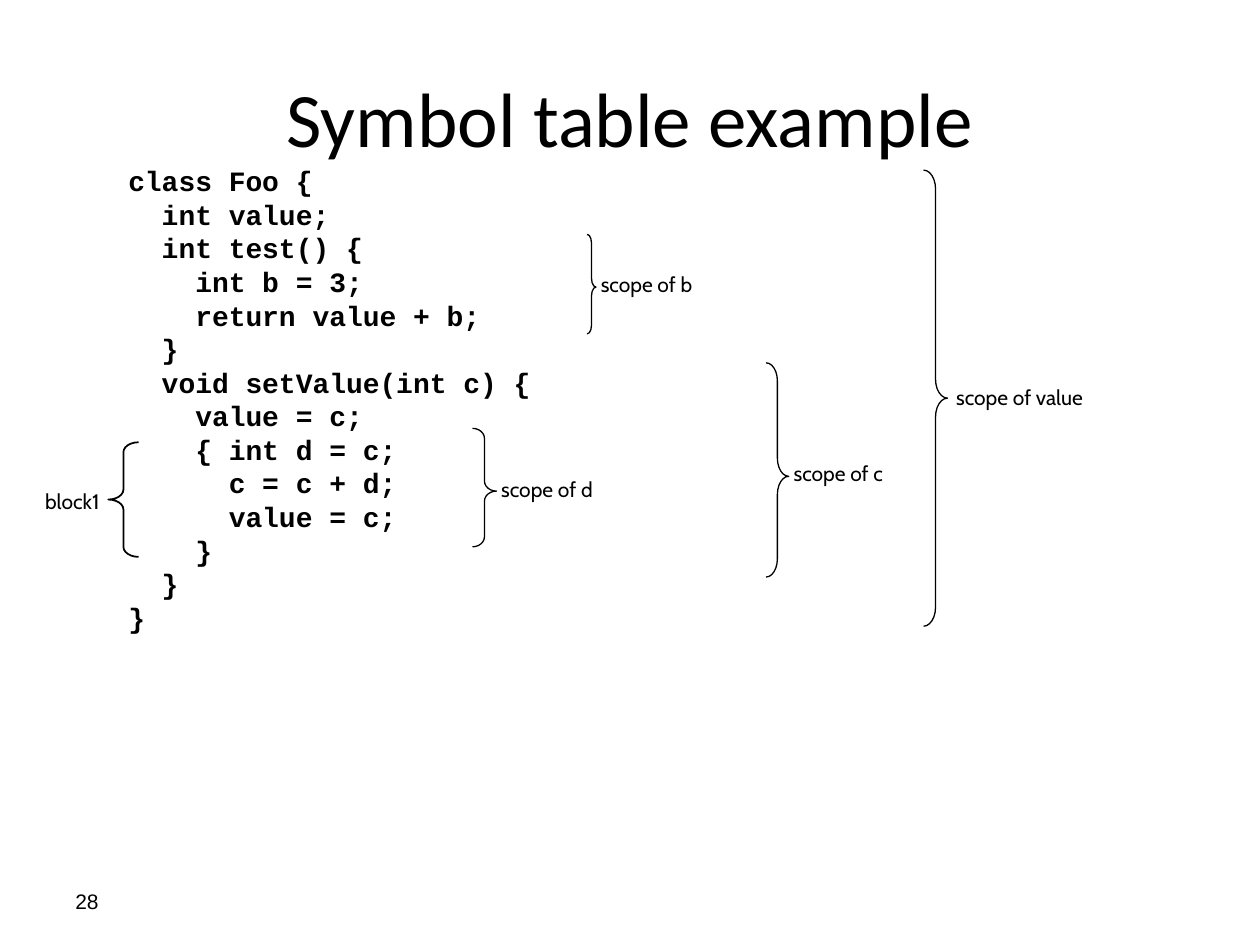
from pptx import Presentation
from pptx import util as u
from pptx.dml.color import RGBColor
from pptx.enum import shapes, text

# Grid: 100 columns by 75 rows over the whole slide
WIDTH, HEIGHT = u.Inches(10), u.Inches(7.5)
COLUMN, ROW = WIDTH / 100, HEIGHT / 75
BLACK = "000000"

CODE = """class Foo {
  int value;
  int test() {
    int b = 3;
    return value + b;
  }
  void setValue(int c) {
    value = c;
    { int d = c;
      c = c + d;
      value = c;
    }
  }
}"""

# Brace box, curve and tip shares, line width, label, label box
RIGHT, LEFT = shapes.MSO_SHAPE.RIGHT_BRACE, shapes.MSO_SHAPE.LEFT_BRACE
SCOPES = [
    (RIGHT, (73.3, 13.5, 1.9, 36.2), 0.79, 0.5, 0.75, "scope of value", (74.9, 30, 13.2, 3)),
    (RIGHT, (46.6, 18.6, 0.7, 7.9), 1, 0.53, 0.75, "scope of b", (46.7, 21.1, 10, 3)),
    (RIGHT, (60.8, 28.8, 1.8, 17), 0.8, 0.53, 0.75, "scope of c", (62, 36.1, 9.8, 3)),
    (RIGHT, (37.5, 34, 1.9, 9.4), 0.42, 0.53, 0.75, "scope of d", (38.8, 37.3, 10, 3)),
    (LEFT, (8.6, 35.1, 2.4, 9.1), 0.33, 0.5, 1, "block1", (2.6, 38.3, 7.1, 3)),
]


def color(value):
    return RGBColor.from_string(value)


def place(box):
    left, top, width, height = box
    return [u.Emu(round(n)) for n in
            (left * COLUMN, top * ROW, width * COLUMN, height * ROW)]


def add_span(para, words, font, size, bold=False):
    span = para.add_run()
    span.text = words
    span.font.name, span.font.size, span.font.bold = font, u.Pt(size), bold
    span.font.color.rgb = color(BLACK)


def add_title(page, box, words):
    title = page.shapes.title
    title.left, title.top, title.width, title.height = place(box)
    frame = title.text_frame
    frame.vertical_anchor = text.MSO_ANCHOR.MIDDLE
    para = frame.paragraphs[0]
    para.alignment = text.PP_ALIGN.CENTER
    add_span(para, words, "Calibri", 44)


def add_label(page, box, words, font="Cabin", wrap=False):
    frame = page.shapes.add_textbox(*place(box)).text_frame
    frame.word_wrap = wrap
    add_span(frame.paragraphs[0], words, font, 12)
    return frame


def add_code(page, box, code):
    frame = page.shapes.add_textbox(*place(box)).text_frame
    frame.word_wrap = True
    frame.margin_top = u.Inches(0.08)
    for number, line in enumerate(code.splitlines()):
        para = frame.add_paragraph() if number else frame.paragraphs[0]
        para.line_spacing = u.Pt(19.2)
        add_span(para, line, "Courier New", 16, bold=True)


def add_scope(page, kind, box, curve, tip, weight, words, label_box):
    brace = page.shapes.add_shape(kind, *place(box))
    brace.shadow.inherit = False
    brace.adjustments[0], brace.adjustments[1] = curve, tip
    brace.fill.background()
    brace.line.color.rgb = color(BLACK)
    brace.line.width = u.Pt(weight)
    add_label(page, label_box, words)


def main():
    deck = Presentation()
    deck.slide_width, deck.slide_height = WIDTH, HEIGHT
    page = deck.slides.add_slide(deck.slide_layouts.get_by_name("Title Only"))

    # Heading and page number
    add_title(page, (5, 3, 90, 12.5), "Symbol table example")
    number = add_label(page, (5, 69.5, 23.3, 4), "28", "Arial", wrap=True)
    number.vertical_anchor = text.MSO_ANCHOR.MIDDLE

    # Code listing with its scopes
    add_code(page, (9.2, 12.2, 34.6, 41), CODE)
    for scope in SCOPES:
        add_scope(page, *scope)

    deck.save("out.pptx")


if __name__ == "__main__":
    main()
